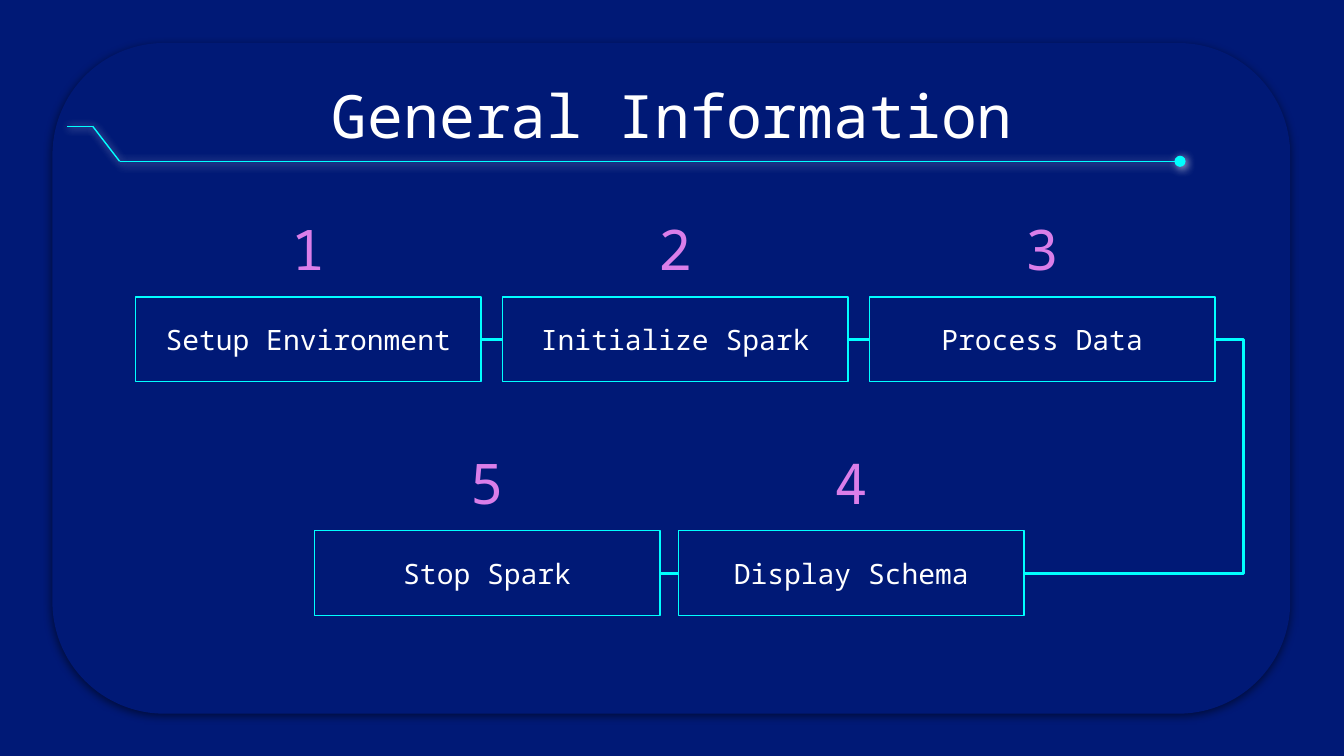
from typing import NamedTuple

from lxml.etree import SubElement
from pptx import Presentation
from pptx.dml.color import RGBColor
from pptx.enum.shapes import MSO_CONNECTOR, MSO_SHAPE
from pptx.enum.text import MSO_ANCHOR, PP_ALIGN
from pptx.oxml.ns import qn
from pptx.util import Inches, Pt

NAVY, CYAN, PINK, WHITE = "001976", "00FFFF", "DA7EE9", "FFFFFF"
FONT = "Noto Sans Mono"
MARGIN = 0.1
BOX_WIDTH, BOX_HEIGHT, NUMBER_SIZE = 2.57, 0.63, 0.73
FIRST_ROW_TOP, ROW_PITCH = 2.21, 1.74


class Row(NamedTuple):
    left: float
    pitch: float


class Step(NamedTuple):
    number: int
    label: str
    row: int
    column: int


class Shadow(NamedTuple):
    color: str
    opacity: int
    blur: float
    distance: float
    angle: int


ROWS = [Row(1.01, 2.73), Row(2.34, 2.71)]
STEPS = [
    Step(1, "Setup Environment", 0, 0),
    Step(2, "Initialize Spark", 0, 1),
    Step(3, "Process Data", 0, 2),
    Step(4, "Display Schema", 1, 1),
    Step(5, "Stop Spark", 1, 0),
]
PANEL_SHADOW = Shadow("000000", 50, 4.5, 1.5, 90)
GLOW = Shadow("FFFFFF", 75, 4.5, 0.8, 63)


def rgb(color: str) -> RGBColor:
    return RGBColor.from_string(color)


def set_effects(shape, shadow: Shadow | None = None) -> None:
    """Replace the theme's shadow by the given one, or by none."""
    effects = SubElement(shape._element.spPr, qn("a:effectLst"))
    if shadow:
        outer = SubElement(effects, qn("a:outerShdw"), {
            "blurRad": str(Pt(shadow.blur)), "dist": str(Pt(shadow.distance)),
            "dir": str(shadow.angle * 60000), "algn": "bl", "rotWithShape": "0"})
        color = SubElement(outer, qn("a:srgbClr"), val=shadow.color)
        SubElement(color, qn("a:alpha"), val=str(shadow.opacity * 1000))


def write(shape, text: str, size: int, color: str, anchor=MSO_ANCHOR.MIDDLE) -> None:
    frame = shape.text_frame
    frame.word_wrap = True
    frame.vertical_anchor = anchor
    frame.margin_left = frame.margin_right = Inches(MARGIN)
    frame.margin_top = frame.margin_bottom = Inches(MARGIN)
    para = frame.paragraphs[0]
    para.alignment = PP_ALIGN.CENTER
    span = para.add_run()
    span.text = text
    span.font.name, span.font.size = FONT, Pt(size)
    span.font.color.rgb = rgb(color)


def add_panel(page) -> None:
    panel = page.shapes.add_shape(MSO_SHAPE.ROUNDED_RECTANGLE, Inches(0.39),
                                  Inches(0.32), Inches(9.21), Inches(4.99))
    panel.fill.solid()
    panel.fill.fore_color.rgb = rgb(NAVY)
    panel.line.fill.background()
    set_effects(panel, PANEL_SHADOW)


def add_title(page, text: str) -> None:
    title = page.shapes.add_textbox(Inches(0.79), Inches(0.49),
                                    Inches(8.43), Inches(0.63))
    write(title, text, 32, WHITE, MSO_ANCHOR.TOP)


def add_step(page, step: Step):
    """Draw a step's box with its number above, and return the box."""
    row = ROWS[step.row]
    left = row.left + step.column * row.pitch
    top = FIRST_ROW_TOP + step.row * ROW_PITCH
    box = page.shapes.add_shape(MSO_SHAPE.RECTANGLE, Inches(left), Inches(top),
                                Inches(BOX_WIDTH), Inches(BOX_HEIGHT))
    box.fill.background()
    box.line.color.rgb = rgb(CYAN)
    box.line.width = Pt(0.75)
    box.shadow.inherit = False
    write(box, step.label, 15, WHITE)

    number_left = left + (BOX_WIDTH - NUMBER_SIZE) / 2
    number = page.shapes.add_textbox(Inches(number_left), Inches(top - NUMBER_SIZE),
                                     Inches(NUMBER_SIZE), Inches(NUMBER_SIZE))
    write(number, str(step.number), 30, PINK)
    return box


def add_line(page, kind, start, end, width: float, shadow: Shadow | None = None):
    line = page.shapes.add_connector(kind, *map(Inches, start + end))
    line.line.color.rgb = rgb(CYAN)
    line.line.width = Pt(width)
    set_effects(line, shadow)
    return line


def link(page, source, target, target_side: int, overhang: float | None = None) -> None:
    """Join the right side of source to a side of target (1 left, 3 right)."""
    connector = add_line(page, MSO_CONNECTOR.ELBOW, (0, 0), (0, 0), 1.5)
    connector.begin_connect(source, 3)
    connector.end_connect(target, target_side)
    if overhang:
        geometry = connector._element.spPr.find(qn("a:prstGeom"))
        guides = geometry.find(qn("a:avLst"))
        if guides is None:
            guides = SubElement(geometry, qn("a:avLst"))
        bend = round(-Inches(overhang) / connector.width * 100000)
        SubElement(guides, qn("a:gd"), name="adj1", fmla=f"val {bend}")


def add_title_rule(page) -> None:
    points = [(0.5, 0.94), (0.69, 0.94), (0.89, 1.2), (8.78, 1.2)]
    for start, end in zip(points, points[1:]):
        line = add_line(page, MSO_CONNECTOR.STRAIGHT, start, end, 0.75, GLOW)
    SubElement(line.line._get_or_add_ln(), qn("a:tailEnd"), type="oval")


def main() -> None:
    deck = Presentation()
    deck.slide_width = Inches(10)
    deck.slide_height = deck.slide_width * 9 // 16
    page = deck.slides.add_slide(deck.slide_layouts[6])
    page.background.fill.solid()
    page.background.fill.fore_color.rgb = rgb(NAVY)

    add_panel(page)
    add_title(page, "General Information")
    setup, initialize, process, display, stop = [add_step(page, step) for step in STEPS]
    for source, target in [(setup, initialize), (initialize, process), (stop, display)]:
        link(page, source, target, 1)
    link(page, process, display, 3, overhang=0.21)
    add_title_rule(page)
    deck.save("out.pptx")


if __name__ == "__main__":
    main()
